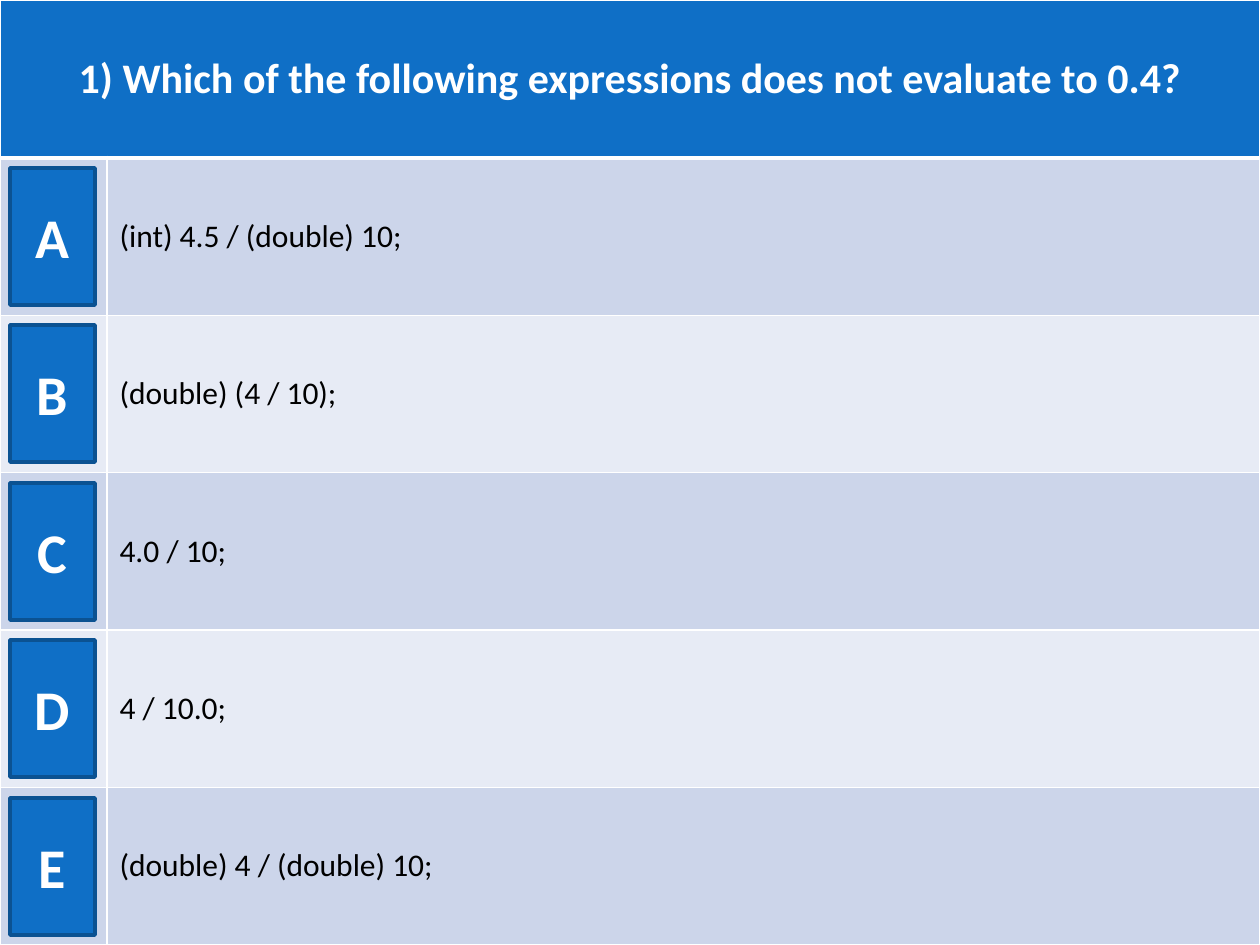
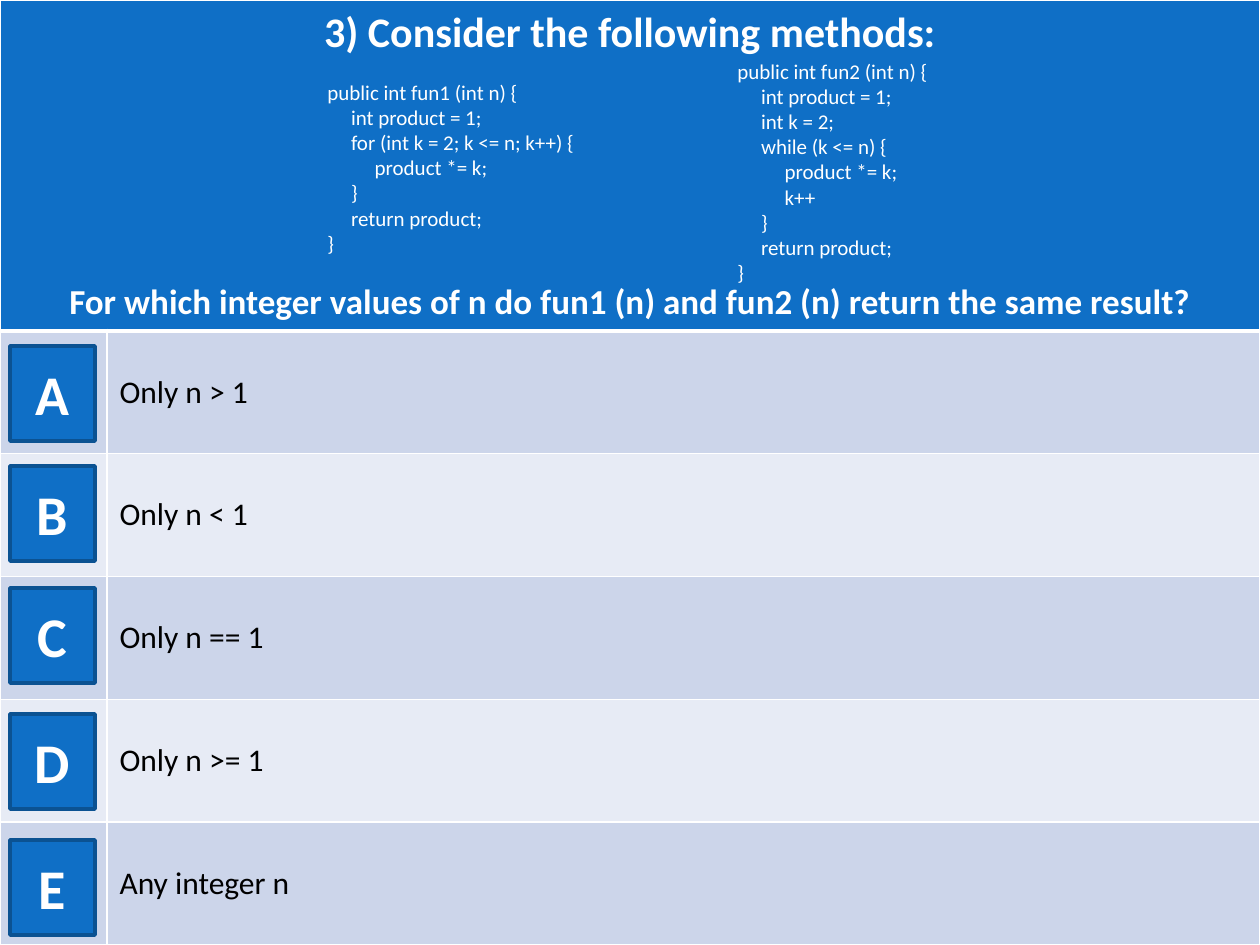
from lxml import etree
from pptx import Presentation
from pptx.dml.color import RGBColor
from pptx.enum.shapes import MSO_SHAPE
from pptx.enum.text import MSO_ANCHOR, PP_ALIGN
from pptx.oxml.ns import qn
from pptx.util import Pt

BUTTON = MSO_SHAPE.ACTION_BUTTON_CUSTOM
MIDDLE = MSO_ANCHOR.MIDDLE
LEFT, CENTER = PP_ALIGN.LEFT, PP_ALIGN.CENTER

PX = 914400 / 126
WIDTH, HEIGHT = 1260, 945
LETTER_COLUMN = 107
BUTTON_LEFT, BUTTON_WIDTH = 10, 85
FONT = "Calibri"
COLORS = {
    "page": "DBF5F9",
    "blue": "0F6FC6",
    "button_edge": "0B5292",
    "band_dark": "CCD5EA",
    "band_light": "E7EBF5",
    "white": "FFFFFF",
    "black": "000000",
}
LETTERS = "ABCDE"

FUN1 = """public int fun1 (int n) {
     int product = 1;
     for (int k = 2; k <= n; k++) {
          product *= k;
     }
     return product;
}"""
FUN2 = """public int fun2 (int n) {
     int product = 1;
     int k = 2;
     while (k <= n) {
          product *= k;
          k++
     }
     return product;
}"""

QUESTIONS = [
    {
        "heading": [("1) Which of the following expressions does not evaluate to 0.4?", 24, 0)],
        "heading_height": 158,
        "answers": [
            "(int) 4.5 / (double) 10;",
            "(double) (4 / 10);",
            "4.0 / 10;",
            "4 / 10.0;",
            "(double) 4 / (double) 10;",
        ],
        "listings": [],
        "button_tops": [168, 325, 483, 640, 798],
        "button_height": 137,
    },
    {
        "heading": [
            ("3) Consider the following methods:", 24, 0),
            ("For which integer values of n do fun1 (n) and fun2 (n) return the same result?", 20, 127),
        ],
        "heading_height": 331,
        "answers": ["Only n > 1", "Only n < 1", "Only n == 1", "Only n >= 1", "Any integer n"],
        "listings": [(FUN1, (315, 73, 294, 190)), (FUN2, (725, 52, 273, 242))],
        "button_tops": [346, 466, 588, 714, 840],
        "button_height": 95,
    },
]


def emu(*lengths):
    return [round(length * PX) for length in lengths]


def color(name):
    return RGBColor.from_string(COLORS[name])


def paint(fill, name):
    fill.solid()
    fill.fore_color.rgb = color(name)


def style(para, size, ink, bold=False, align=LEFT):
    para.alignment = align
    for span in para.runs:
        span.font.name = FONT
        span.font.size = Pt(size)
        span.font.bold = bold
        span.font.color.rgb = color(ink)


def add_borders(cell, top, bottom):
    properties = cell._tc.get_or_add_tcPr()
    edges = {"a:lnL": 1, "a:lnR": 1, "a:lnT": top, "a:lnB": bottom}
    for index, (tag, points) in enumerate(edges.items()):
        edge = etree.Element(qn(tag), w=str(Pt(points)))
        fill = etree.SubElement(edge, qn("a:solidFill"))
        etree.SubElement(fill, qn("a:srgbClr"), val=COLORS["white"])
        properties.insert(index, edge)


def add_answer_table(page, question):
    answers = question["answers"]
    table = page.shapes.add_table(len(answers) + 1, 2, *emu(0, 0, WIDTH, HEIGHT)).table
    for column, width in zip(table.columns, emu(LETTER_COLUMN, WIDTH - LETTER_COLUMN)):
        column.width = width
    heading_height = question["heading_height"]
    answer_height = (HEIGHT - heading_height) / len(answers)
    heights = [heading_height] + [answer_height] * len(answers)
    for row_index, (row, height) in enumerate(zip(table.rows, emu(*heights))):
        row.height = height
        band = "band_dark" if row_index % 2 else "band_light"
        for cell in row.cells:
            cell.vertical_anchor = MIDDLE
            paint(cell.fill, band if row_index else "blue")
            add_borders(cell, 3 if row_index == 1 else 1, 1 if row_index else 3)

    heading = table.cell(0, 0)
    heading.merge(table.cell(0, 1))
    heading.text_frame.text = "\n".join(text for text, _, _ in question["heading"])
    for para, (_, size, gap) in zip(heading.text_frame.paragraphs, question["heading"]):
        style(para, size, "white", bold=True, align=CENTER)
        if gap:
            para.space_before = Pt(gap)

    for row_index, answer in enumerate(answers, 1):
        frame = table.cell(row_index, 1).text_frame
        frame.text = answer
        style(frame.paragraphs[0], 18, "black")


def add_listing(page, code, place):
    frame = page.shapes.add_textbox(*emu(*place)).text_frame
    frame.word_wrap = True
    frame.text = code
    for para in frame.paragraphs:
        style(para, 12, "white")


def add_button(page, letter, top, height):
    button = page.shapes.add_shape(BUTTON, *emu(BUTTON_LEFT, top, BUTTON_WIDTH, height))
    button.shadow.inherit = False
    paint(button.fill, "blue")
    paint(button.line.fill, "button_edge")
    button.line.width = Pt(2)
    frame = button.text_frame
    frame.vertical_anchor = MIDDLE
    frame.text = letter
    style(frame.paragraphs[0], 32, "white", bold=True, align=CENTER)


def main():
    deck = Presentation()
    deck.slide_width, deck.slide_height = emu(WIDTH, HEIGHT)
    for question in QUESTIONS:
        page = deck.slides.add_slide(deck.slide_layouts[6])
        paint(page.background.fill, "page")
        add_answer_table(page, question)
        for code, place in question["listings"]:
            add_listing(page, code, place)
        for letter, top in zip(LETTERS, question["button_tops"]):
            add_button(page, letter, top, question["button_height"])
    deck.save("out.pptx")


if __name__ == "__main__":
    main()
